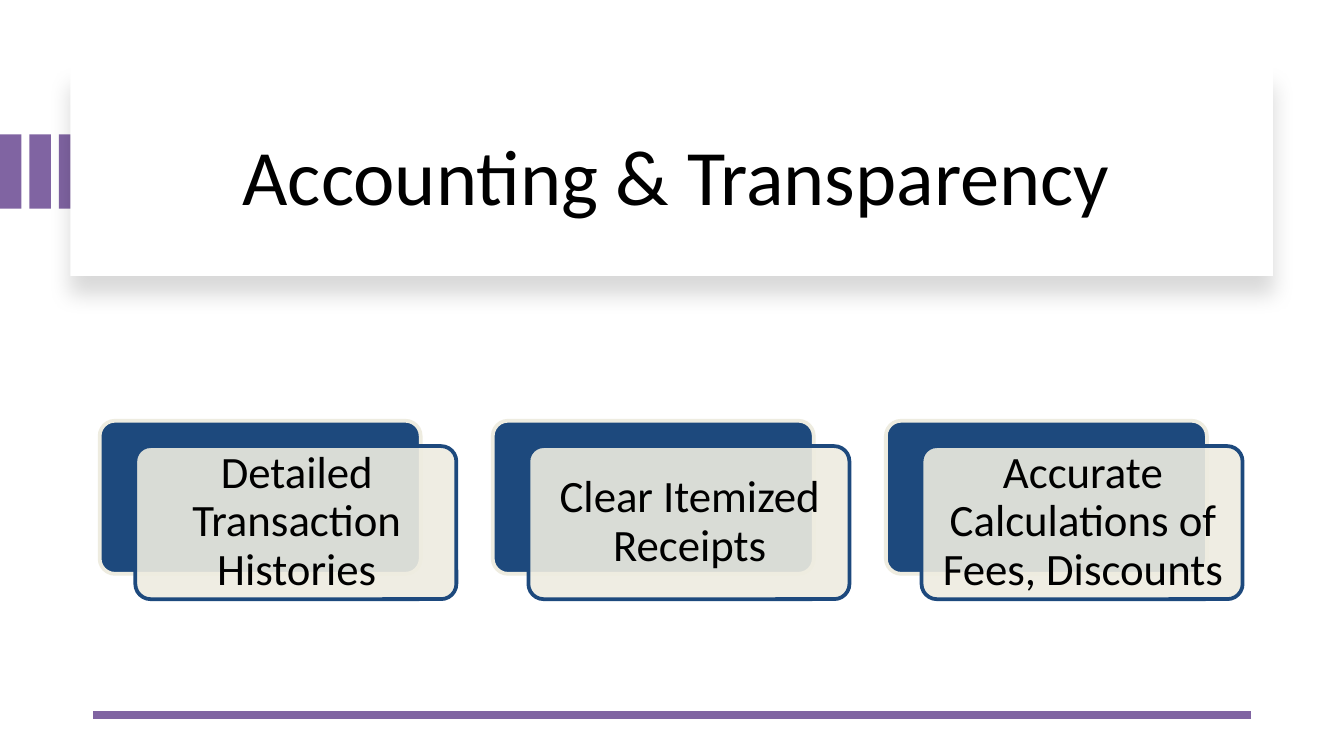
from lxml import etree
from pptx import Presentation
from pptx.dml.color import RGBColor as RGB
from pptx.enum.shapes import MSO_CONNECTOR as LINK, MSO_SHAPE as SHAPE
from pptx.enum.text import MSO_ANCHOR as ANCHOR, MSO_AUTO_SIZE as FIT, PP_ALIGN as ALIGN
from pptx.oxml.ns import qn
from pptx.util import Pt

HUES = {
    "purple": "8064A2",
    "navy": "1D497D",
    "cream": "EEECE0",
    "white": "FFFFFF",
    "black": "000000",
}
FONT = "Calibri"
CARDS = [
    "Detailed Transaction Histories",
    "Clear Itemized Receipts",
    "Accurate Calculations of Fees, Discounts",
]


def hue(name):
    return RGB.from_string(HUES[name])


def add_box(shapes, kind, box, fill, line=None):
    shape = shapes.add_shape(kind, *map(Pt, box))
    shape.shadow.inherit = False
    shape.fill.solid()
    shape.fill.fore_color.rgb = hue(fill)
    if line:
        shape.line.color.rgb = hue(line)
        shape.line.width = Pt(2)
    else:
        shape.line.fill.background()
    return shape


def set_text(shape, text, size, pads, space=None):
    frame = shape.text_frame
    frame.text = text
    frame.word_wrap = True
    frame.auto_size = FIT.NONE
    frame.vertical_anchor = ANCHOR.MIDDLE
    side, edge = pads
    frame.margin_left = frame.margin_right = Pt(side)
    frame.margin_top = frame.margin_bottom = Pt(edge)
    para = frame.paragraphs[0]
    para.alignment = ALIGN.CENTER
    if space:
        para.line_spacing = space
    font = para.runs[0].font
    font.name = FONT
    font.size = Pt(size)
    font.color.rgb = hue("black")


def set_alpha(color, share):
    etree.SubElement(color, qn("a:alpha"), val=str(share * 1000))


def add_shadow(shape):
    effects = shape.element.spPr.find(qn("a:effectLst"))
    outer = etree.SubElement(
        effects, qn("a:outerShdw"), blurRad=str(Pt(11)), dist=str(Pt(10)),
        dir=str(90 * 60000), algn="t", rotWithShape="0")
    color = etree.SubElement(outer, qn("a:srgbClr"), val=HUES["black"])
    set_alpha(color, 15)


def add_rule(shapes):
    rule = shapes.add_connector(LINK.STRAIGHT, Pt(670.3), Pt(383), Pt(49.7), Pt(383))
    rule.line.color.rgb = hue("purple")
    rule.line.width = Pt(4.5)
    etree.SubElement(rule.element.spPr, qn("a:effectLst"))


def add_card(shapes, left, text):
    top, wide, high = 225.4, 172, 82
    back = add_box(shapes, SHAPE.ROUNDED_RECTANGLE,
                   (left, top, wide, high), "navy", "cream")
    front = add_box(shapes, SHAPE.ROUNDED_RECTANGLE,
                    (left + 19.1, top + 13.6, wide, high), "cream", "navy")
    for shape in (back, front):
        shape.adjustments[0] = 0.1
    set_alpha(front.fill.fore_color._xFill.find(qn("a:srgbClr"))
              if hasattr(front.fill.fore_color, "_xFill")
              else front.element.spPr.find(qn("a:solidFill"))[0], 90)
    label = shapes.add_textbox(Pt(left + 22.3), Pt(top + 16), Pt(166.5), Pt(77))
    set_text(label, text, 24, (7.2, 7.2), 0.9)


def main():
    deck = Presentation()
    deck.slide_width, deck.slide_height = Pt(720), Pt(405)
    slide = deck.slides.add_slide(deck.slide_layouts[5])
    shapes = slide.shapes

    # Side stripes
    stripes = shapes.add_group_shape().shapes
    for i in range(3):
        add_box(stripes, SHAPE.RECTANGLE, (i * 15.8, 72, 11.5, 39.8), "purple")

    # Title on its raised panel
    panel = add_box(shapes, SHAPE.RECTANGLE, (37.7, 36, 644.2, 111.8), "white")
    add_shadow(panel)
    title = shapes.title
    title.left, title.top, title.width, title.height = map(Pt, (62, 47.5, 600.5, 91.5))
    set_text(title, "Accounting & Transparency", 42, (7.2, 3.6))
    panel.element.addnext(title.element)

    # Bottom rule
    add_rule(shapes)

    # Cards
    cards = shapes.add_group_shape().shapes
    for i, text in enumerate(CARDS):
        add_card(cards, 53.4 + i * 210.6, text)

    deck.save("out.pptx")


if __name__ == "__main__":
    main()
